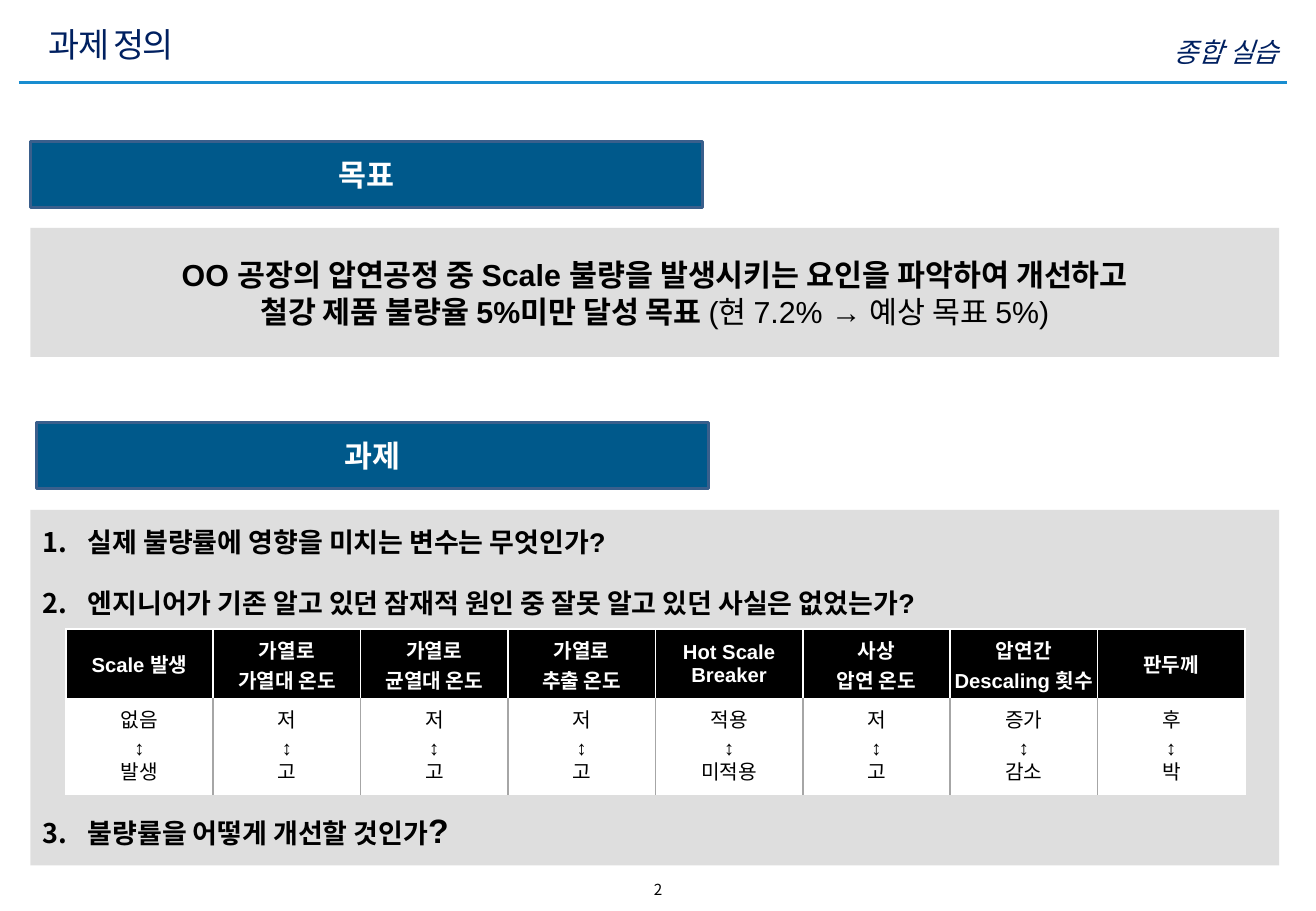
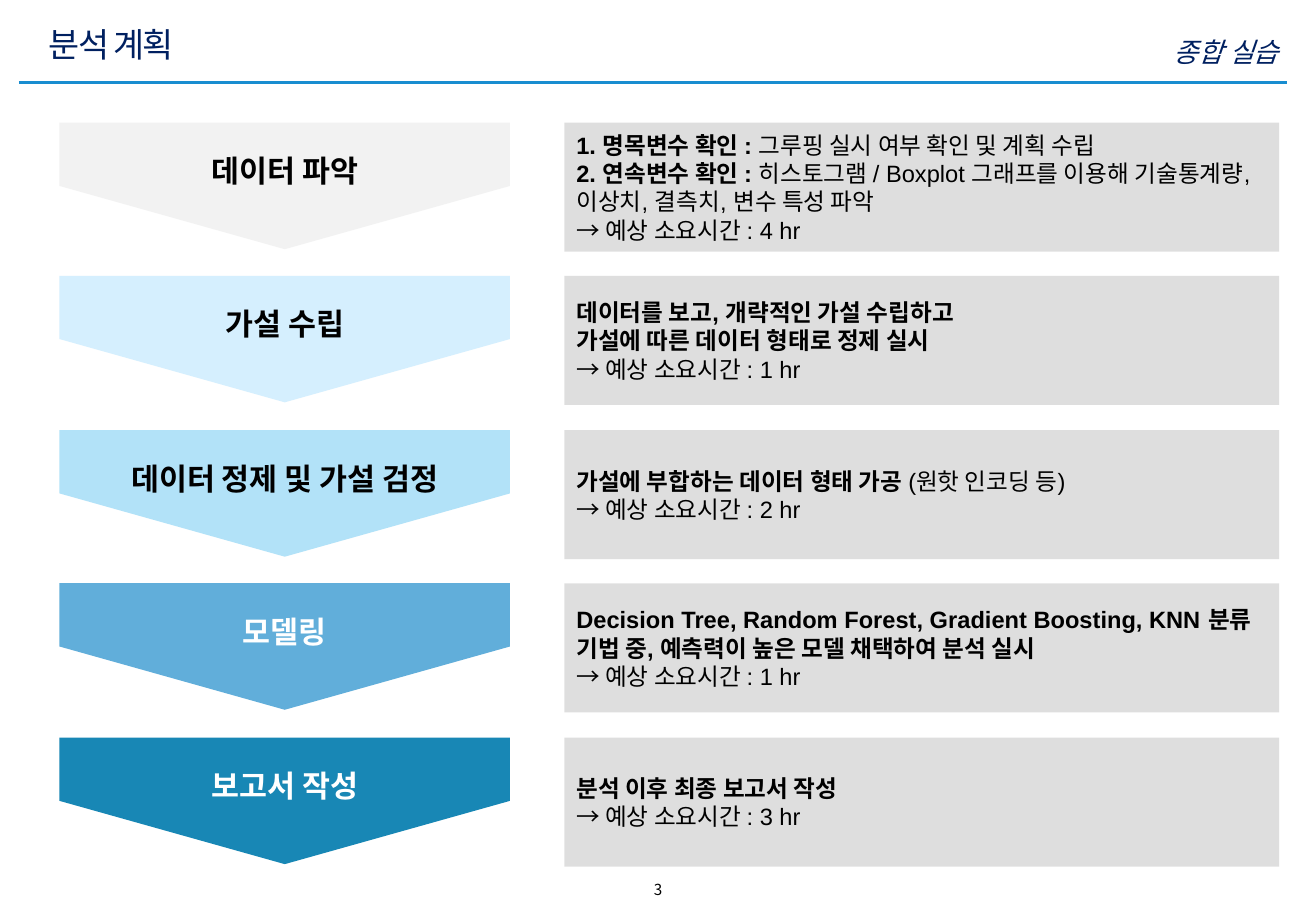
"""Build two slides that define a rolling-mill defect project and its analysis plan."""
from dataclasses import dataclass, replace

from lxml import etree
from pptx import Presentation
from pptx.dml.color import RGBColor
from pptx.enum.shapes import MSO_CONNECTOR, MSO_SHAPE
from pptx.enum.text import MSO_ANCHOR, PP_ALIGN
from pptx.oxml.ns import qn
from pptx.util import Emu, Pt

PX = 9525
LEFT, CENTER, RIGHT = PP_ALIGN.LEFT, PP_ALIGN.CENTER, PP_ALIGN.RIGHT
TOP, MIDDLE = MSO_ANCHOR.TOP, MSO_ANCHOR.MIDDLE
RECTANGLE, PENTAGON = MSO_SHAPE.RECTANGLE, MSO_SHAPE.PENTAGON
STRAIGHT = MSO_CONNECTOR.STRAIGHT

BLACK = RGBColor(0x00, 0x00, 0x00)
WHITE = RGBColor(0xFF, 0xFF, 0xFF)
NAVY = RGBColor(0x00, 0x20, 0x60)
RULE_BLUE = RGBColor(0x18, 0x8D, 0xD0)
BANNER_BLUE = RGBColor(0x00, 0x59, 0x8B)
BANNER_EDGE = RGBColor(0x3A, 0x5F, 0x8C)
PANEL_GRAY = RGBColor(0xBF, 0xBF, 0xBF)
GRID_GRAY = RGBColor(0xA6, 0xA6, 0xA6)
LATIN, KOREAN = "Arial", "Noto Sans CJK KR"


@dataclass(frozen=True)
class Box:
    left: int
    top: int
    width: int
    height: int

    def emu(self) -> list[Emu]:
        return [px(value) for value in (self.left, self.top, self.width, self.height)]


@dataclass(frozen=True)
class Style:
    size: int
    color: RGBColor = BLACK
    font: str = LATIN
    align: PP_ALIGN = LEFT
    anchor: MSO_ANCHOR = MIDDLE
    italic: bool = False
    leading: float | None = None


@dataclass(frozen=True)
class Run:
    text: str
    bold: bool = False
    size: int | None = None


@dataclass(frozen=True)
class Step:
    name: str
    fill: RGBColor
    color: RGBColor
    details: list[list[Run]]
    hours: int


@dataclass(frozen=True)
class Column:
    header: list[str]
    before: str
    after: str


TITLE = Style(20, NAVY, KOREAN)
COURSE = Style(16, NAVY, KOREAN, RIGHT, TOP, italic=True)
PAGE_NUMBER = Style(9, font=KOREAN, align=CENTER, anchor=TOP)
HEADING = Style(18, WHITE, align=CENTER, leading=21.9)
GOAL = replace(HEADING, color=BLACK)
QUESTION = Style(16, leading=19.2)
DETAIL = Style(14, leading=16.8)
TABLE_HEADER = Style(12, WHITE, align=CENTER)
TABLE_BODY = Style(12, align=CENTER, leading=15.4)

GOAL_LINES = [
    [Run("OO 공장의 압연공정 중 Scale 불량을 발생시키는 요인을 파악하여 개선하고", True)],
    [Run("철강 제품 불량율 5%미만 달성 목표 ", True), Run("(현 7.2% → 예상 목표 5%)")],
]
QUESTIONS = [
    [Run("실제 불량률에 영향을 미치는 변수는 무엇인가?", True)],
    [Run("엔지니어가 기존 알고 있던 잠재적 원인 중 잘못 알고 있던 사실은 없었는가?", True)],
    [Run("불량률을 어떻게 개선할 것인가", True), Run("?", True, 20)],
]
QUESTION_GAPS = [17, 118, 0]
COLUMNS = [
    Column(["Scale 발생"], "없음", "발생"),
    Column(["가열로", "가열대 온도"], "저", "고"),
    Column(["가열로", "균열대 온도"], "저", "고"),
    Column(["가열로", "추출 온도"], "저", "고"),
    Column(["Hot Scale Breaker"], "적용", "미적용"),
    Column(["사상", "압연 온도"], "저", "고"),
    Column(["압연간 Descaling 횟수"], "증가", "감소"),
    Column(["판두께"], "후", "박"),
]
STEPS = [
    Step("데이터 파악", RGBColor(0xF2, 0xF2, 0xF2), BLACK, [
        [Run("1. 명목변수 확인 : ", True), Run("그루핑 실시 여부 확인 및 계획 수립")],
        [Run("2. 연속변수 확인 : ", True),
         Run("히스토그램 / Boxplot 그래프를 이용해 기술통계량, 이상치, 결측치, 변수 특성 파악")],
    ], 4),
    Step("가설 수립", RGBColor(0xD5, 0xEF, 0xFE), BLACK, [
        [Run("데이터를 보고, 개략적인 가설 수립하고", True)],
        [Run("가설에 따른 데이터 형태로 정제 실시", True)],
    ], 1),
    Step("데이터 정제 및 가설 검정", RGBColor(0xB2, 0xE2, 0xF8), BLACK, [
        [Run("가설에 부합하는 데이터 형태 가공 ", True), Run("(원핫 인코딩 등)")],
    ], 2),
    Step("모델링", RGBColor(0x61, 0xAE, 0xDA), WHITE, [
        [Run("Decision Tree, Random Forest, Gradient Boosting, KNN 분류 기법 중, "
             "예측력이 높은 모델 채택하여 분석 실시", True)],
    ], 1),
    Step("보고서 작성", RGBColor(0x18, 0x87, 0xB5), WHITE, [
        [Run("분석 이후 최종 보고서 작성", True)],
    ], 3),
]


def px(value: int) -> Emu:
    return Emu(value * PX)


def write(frame, lines: list[list[Run]], style: Style) -> None:
    frame.word_wrap = True
    frame.vertical_anchor = style.anchor
    for index, runs in enumerate(lines):
        paragraph = frame.add_paragraph() if index else frame.paragraphs[0]
        paragraph.alignment = style.align
        if style.leading:
            paragraph.line_spacing = Pt(style.leading)
        font = paragraph.font
        font.size = Pt(style.size)
        font.name = style.font
        font.italic = style.italic
        font.bold = runs[0].bold
        font.color.rgb = style.color
        etree.SubElement(font._element, qn("a:ea"), typeface=KOREAN)
        for item in runs:
            run = paragraph.add_run()
            run.text = item.text
            if item.bold != runs[0].bold:
                run.font.bold = item.bold
            if item.size:
                run.font.size = Pt(item.size)


def add_text(slide, box: Box, text: str, style: Style):
    shape = slide.shapes.add_textbox(*box.emu())
    write(shape.text_frame, [[Run(text)]], style)
    return shape


def add_block(slide, kind: MSO_SHAPE, box: Box, fill: RGBColor,
              lines: list[list[Run]], style: Style):
    shape = slide.shapes.add_shape(kind, *box.emu())
    shape.shadow.inherit = False
    shape.fill.solid()
    shape.fill.fore_color.rgb = fill
    shape.line.fill.background()
    write(shape.text_frame, lines, style)
    return shape


def add_panel(slide, box: Box, lines: list[list[Run]], style: Style):
    shape = add_block(slide, RECTANGLE, box, PANEL_GRAY, lines, style)
    color = shape._element.spPr.find(f"{qn('a:solidFill')}/{qn('a:srgbClr')}")
    etree.SubElement(color, qn("a:alpha"), val="50000")
    return shape


def add_banner(slide, left: int, top: int, text: str) -> None:
    shape = add_block(slide, RECTANGLE, Box(left, top, 531, 52), BANNER_BLUE,
                      [[Run(text, True)]], HEADING)
    shape.line.color.rgb = BANNER_EDGE
    shape.line.width = Pt(2)


def add_slide(presentation, title: str, number: int):
    slide = presentation.slides.add_slide(presentation.slide_layouts[6])
    rule = slide.shapes.add_connector(STRAIGHT, px(15), px(65), px(1017), px(65))
    rule.line.color.rgb = RULE_BLUE
    rule.line.width = Pt(2)
    etree.SubElement(rule._element.spPr, qn("a:effectLst"))
    add_text(slide, Box(421, 691, 198, 24), str(number), PAGE_NUMBER)
    add_text(slide, Box(629, 23, 391, 29), "종합 실습", COURSE)
    heading = add_text(slide, Box(29, 14, 817, 41), title, TITLE)
    heading.text_frame.paragraphs[0].runs[0].font._element.set("spc", "-100")
    return slide


def number_questions(frame) -> None:
    for paragraph, gap in zip(frame.paragraphs, QUESTION_GAPS):
        paragraph.space_after = Pt(gap)
        properties = paragraph._p.get_or_add_pPr()
        properties.set("marL", str(px(36)))
        properties.set("indent", str(px(-36)))
        bullet = etree.Element(qn("a:buAutoNum"), type="arabicPeriod")
        properties.find(qn("a:defRPr")).addprevious(bullet)


def fill_cell(cell, lines: list[str], style: Style, bold: bool, fill: RGBColor,
              borders: dict[str, tuple[RGBColor, int]]) -> None:
    cell.margin_left = cell.margin_right = 0
    cell.margin_top = cell.margin_bottom = px(5)
    properties = cell._tc.get_or_add_tcPr()
    for side, (color, width) in borders.items():
        line = etree.SubElement(properties, qn(f"a:ln{side}"), w=str(Pt(width)))
        solid = etree.SubElement(line, qn("a:solidFill"))
        etree.SubElement(solid, qn("a:srgbClr"), val=str(color))
    cell.fill.solid()
    cell.fill.fore_color.rgb = fill
    write(cell.text_frame, [[Run(line, bold)] for line in lines], style)
    cell.vertical_anchor = MIDDLE


def add_factor_table(slide) -> None:
    box = Box(52, 497, 932, 131)
    table = slide.shapes.add_table(2, len(COLUMNS), *box.emu()).table
    for row, height in zip(table.rows, (55, 76)):
        row.height = px(height)
    edge, grid = (WHITE, 1), (GRID_GRAY, 1)
    last = len(COLUMNS) - 1
    for index, column in enumerate(COLUMNS):
        fill_cell(table.cell(0, index), column.header, TABLE_HEADER, True, BLACK,
                  {"L": edge, "R": edge, "T": edge, "B": edge})
        fill_cell(table.cell(1, index), [column.before, "↕", column.after],
                  TABLE_BODY, False, WHITE,
                  {"L": grid if index else edge, "R": grid if index < last else edge,
                   "T": edge, "B": edge})


def add_step(slide, index: int, step: Step) -> None:
    top = 97 + index * 243 // 2
    arrow = add_block(slide, PENTAGON, Box(175, top - 128, 100, 356), step.fill,
                      [[Run(step.name, True)]], replace(HEADING, color=step.color))
    arrow.rotation = 90
    arrow.text_frame._txBody.bodyPr.set("vert", "vert270")
    lines = step.details + [[Run(f"→ 예상 소요시간 : {step.hours} hr")]]
    add_panel(slide, Box(446, top, 565, 102), lines, DETAIL)


def main() -> None:
    presentation = Presentation()
    presentation.slide_width, presentation.slide_height = px(1040), px(720)

    definition = add_slide(presentation, "과제 정의", 2)
    add_banner(definition, 24, 112, "목표")
    add_panel(definition, Box(24, 180, 987, 102), GOAL_LINES, GOAL)
    add_banner(definition, 29, 334, "과제")
    tasks = add_panel(definition, Box(24, 403, 987, 281), QUESTIONS, QUESTION)
    number_questions(tasks.text_frame)
    add_factor_table(definition)

    plan = add_slide(presentation, "분석 계획", 3)
    for index, step in enumerate(STEPS):
        add_step(plan, index, step)

    presentation.save("out.pptx")


if __name__ == "__main__":
    main()
